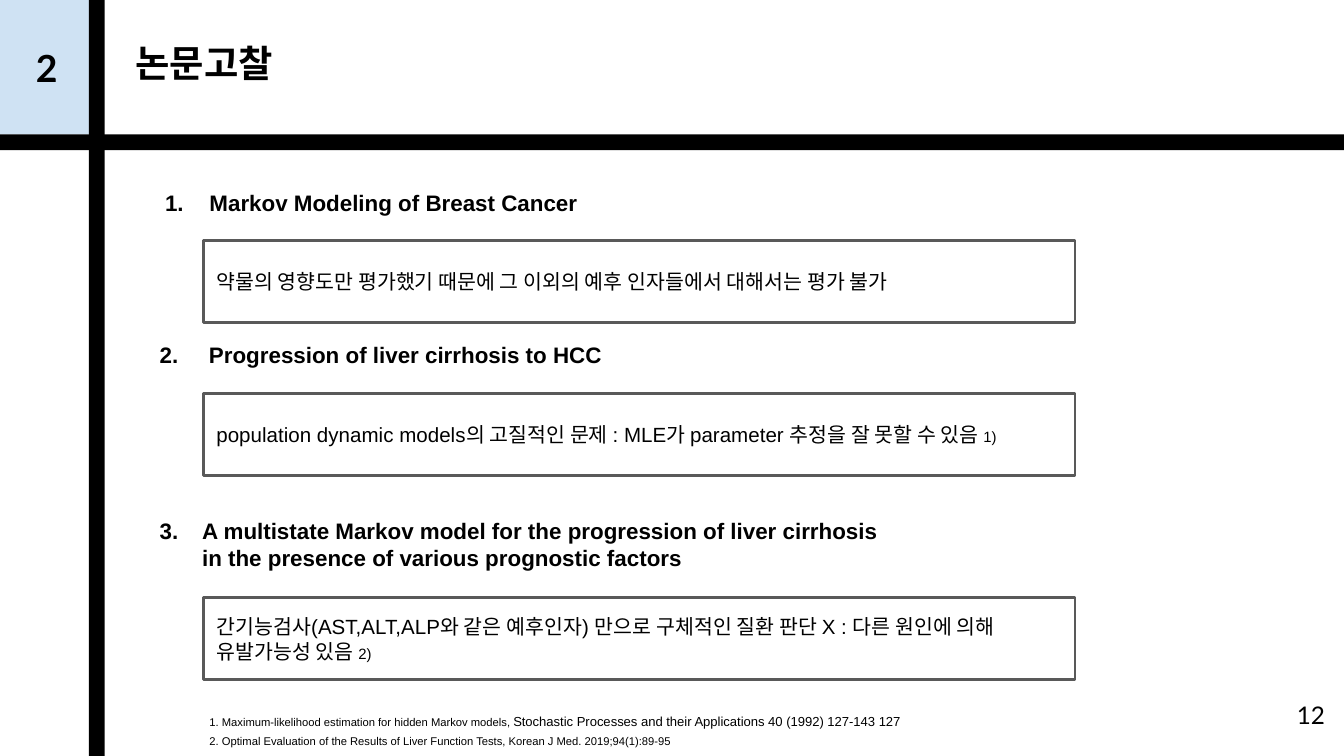
from lxml import etree
from pptx import Presentation
from pptx.dml.color import RGBColor
from pptx.enum.shapes import MSO_SHAPE
from pptx.enum.text import MSO_ANCHOR, MSO_AUTO_SIZE, PP_ALIGN
from pptx.oxml.ns import qn
from pptx.util import Cm, Pt

RECTANGLE = MSO_SHAPE.RECTANGLE
TOP, MIDDLE = MSO_ANCHOR.TOP, MSO_ANCHOR.MIDDLE
LEFT, RIGHT = PP_ALIGN.LEFT, PP_ALIGN.RIGHT
NO_AUTOFIT = MSO_AUTO_SIZE.NONE
TITLE_ONLY = 5

THEME = {
    "black": RGBColor(0, 0, 0),
    "tab": RGBColor(0xCF, 0xE2, 0xF3),
    "outline": RGBColor(0x59, 0x59, 0x59),
    "font": "Arial",
    "number_font": "Lato",
    "title": 20,
    "heading": 12,
    "finding": 11,
    "citation": 8,
    "page": 13,
    "source": 7,
    "footnote": 6,
}

# Lengths are in centimetres.
WIDTH, HEIGHT = 25.4, 14.29
TAB_WIDTH, BAR_TOP, BAR = 1.68, 2.54, 0.3
BOX_LEFT, BOX_WIDTH, BOX_HEIGHT = 3.84, 16.48, 1.55
INSET = 0.25

TITLE = "논문고찰"
SECTION = "2"
PAGE = "12"

PAPERS = [
    {
        "heading": ["Markov Modeling of Breast Cancer"],
        "place": (2.44, 3.33, 9.75, 1.02),
        "indent": (1.27, 0.84),
        "box_top": 4.55,
        "finding": [("약물의 영향도만 평가했기 때문에 그 이외의 예후 인자들에서 대해서는 평가 불가", "finding")],
    },
    {
        "heading": ["Progression of liver cirrhosis to HCC"],
        "place": (2.77, 6.2, 10.62, 1.02),
        "indent": (0.93, 0.93),
        "box_top": 7.44,
        "finding": [
            ("population dynamic models의 고질적인 문제 : MLE가 parameter 추정을 잘 못할 수 있음 ", "finding"),
            ("1)", "citation"),
        ],
    },
    {
        "heading": [
            "A multistate Markov model for the progression of liver cirrhosis",
            "in the presence of various prognostic factors",
        ],
        "place": (2.77, 9.53, 14.38, 1.55),
        "indent": (0.8, 0.8),
        "box_top": 11.3,
        "finding": [
            ("간기능검사(AST,ALT,ALP와 같은 예후인자) 만으로 구체적인 질환 판단 X : "
             "다른 원인에 의해 유발가능성 있음 ", "finding"),
            ("2)", "citation"),
        ],
    },
]

FOOTNOTES = [
    (13.08, [
        ("1. Maximum-likelihood estimation for hidden Markov models, ", "footnote"),
        ("Stochastic Processes and their Applications 40 (1992) 127-143 127", "source"),
    ]),
    (13.51, [
        ("2. Optimal Evaluation of the Results of Liver Function Tests, "
         "Korean J Med. 2019;94(1):89-95", "footnote"),
    ]),
]


def add_rectangle(slide, place, fill=None):
    shape = slide.shapes.add_shape(RECTANGLE, *map(Cm, place))
    shape.shadow.inherit = False
    if fill is not None:
        shape.fill.solid()
        shape.fill.fore_color.rgb = fill
        shape.line.fill.background()
    else:
        shape.fill.background()
        shape.line.color.rgb = THEME["outline"]
        shape.line.width = Pt(1.5)
    return shape


def add_text_box(slide, place):
    return slide.shapes.add_textbox(*map(Cm, place))


def write(shape, runs, bold=False, font="font", align=LEFT, anchor=TOP):
    """Fill the shape with one paragraph of (text, size name) runs."""
    frame = shape.text_frame
    frame_format = {
        "word_wrap": True, "auto_size": NO_AUTOFIT, "vertical_anchor": anchor,
        "margin_left": Cm(INSET), "margin_right": Cm(INSET),
        "margin_top": Cm(INSET), "margin_bottom": Cm(INSET),
    }
    for name, value in frame_format.items():
        setattr(frame, name, value)
    paragraph = frame.paragraphs[0]
    paragraph.alignment = align
    for text, size in runs:
        if text == "\n":
            paragraph.add_line_break()
            continue
        run = paragraph.add_run()
        run.text = text
        run.font.color.rgb = THEME["black"]
        run_format = {"name": THEME[font], "size": Pt(THEME[size]), "bold": bold}
        for name, value in run_format.items():
            setattr(run.font, name, value)
    return paragraph


def number_paragraph(paragraph, number, margin, hanging):
    properties = paragraph._p.get_or_add_pPr()
    properties.set("marL", str(Cm(margin)))
    properties.set("indent", str(-Cm(hanging)))
    etree.SubElement(properties, qn("a:buAutoNum"), type="arabicPeriod", startAt=str(number))


def add_paper(slide, number, paper):
    runs = []
    for line in paper["heading"]:
        if runs:
            runs.append(("\n", "heading"))
        runs.append((line, "heading"))
    heading = write(add_text_box(slide, paper["place"]), runs, bold=True)
    number_paragraph(heading, number, *paper["indent"])
    box = add_rectangle(slide, (BOX_LEFT, paper["box_top"], BOX_WIDTH, BOX_HEIGHT))
    write(box, paper["finding"], anchor=MIDDLE)


def main():
    presentation = Presentation()
    presentation.slide_width, presentation.slide_height = Cm(WIDTH), Cm(HEIGHT)
    slide = presentation.slides.add_slide(presentation.slide_layouts[TITLE_ONLY])

    add_rectangle(slide, (0, 0, TAB_WIDTH, BAR_TOP), THEME["tab"])
    add_rectangle(slide, (0, BAR_TOP, WIDTH, BAR), THEME["black"])
    add_rectangle(slide, (TAB_WIDTH, 0, BAR, HEIGHT), THEME["black"])

    title = slide.shapes.title
    title.left, title.top, title.width, title.height = map(Cm, (2.31, 0.86, 21.11, 0.66))
    write(title, [(TITLE, "title")], bold=True, anchor=MIDDLE)

    section = add_text_box(slide, (0.43, 0.61, 0.76, 1.37))
    write(section, [(SECTION, "title")], bold=True, font="number_font")
    page = add_text_box(slide, (23.77, 12.98, 1.52, 1.09))
    write(page, [(PAGE, "page")], font="number_font", align=RIGHT)

    for number, paper in enumerate(PAPERS, start=1):
        add_paper(slide, number, paper)
    for top, runs in FOOTNOTES:
        footnote = write(add_text_box(slide, (3.71, top, 19.38, 0.78)), runs)
        footnote.line_spacing = 1.5

    presentation.save("out.pptx")


if __name__ == "__main__":
    main()
